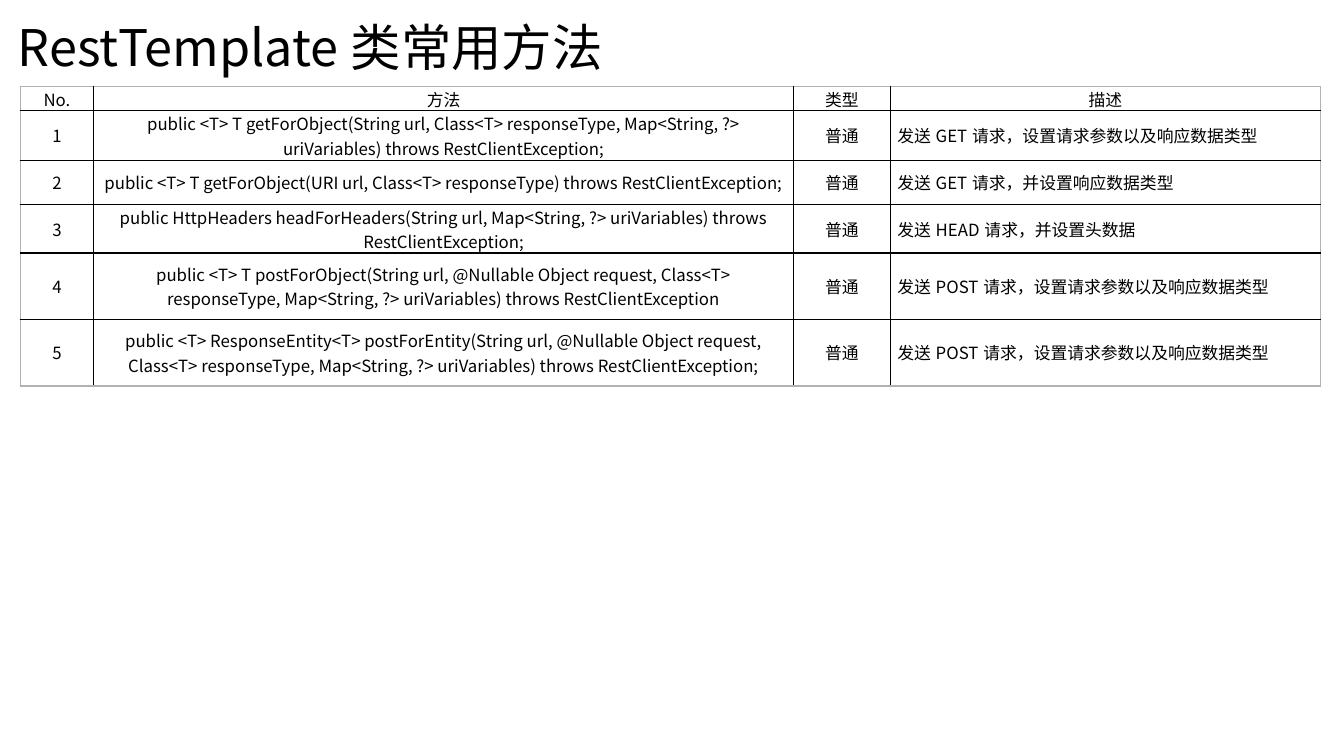
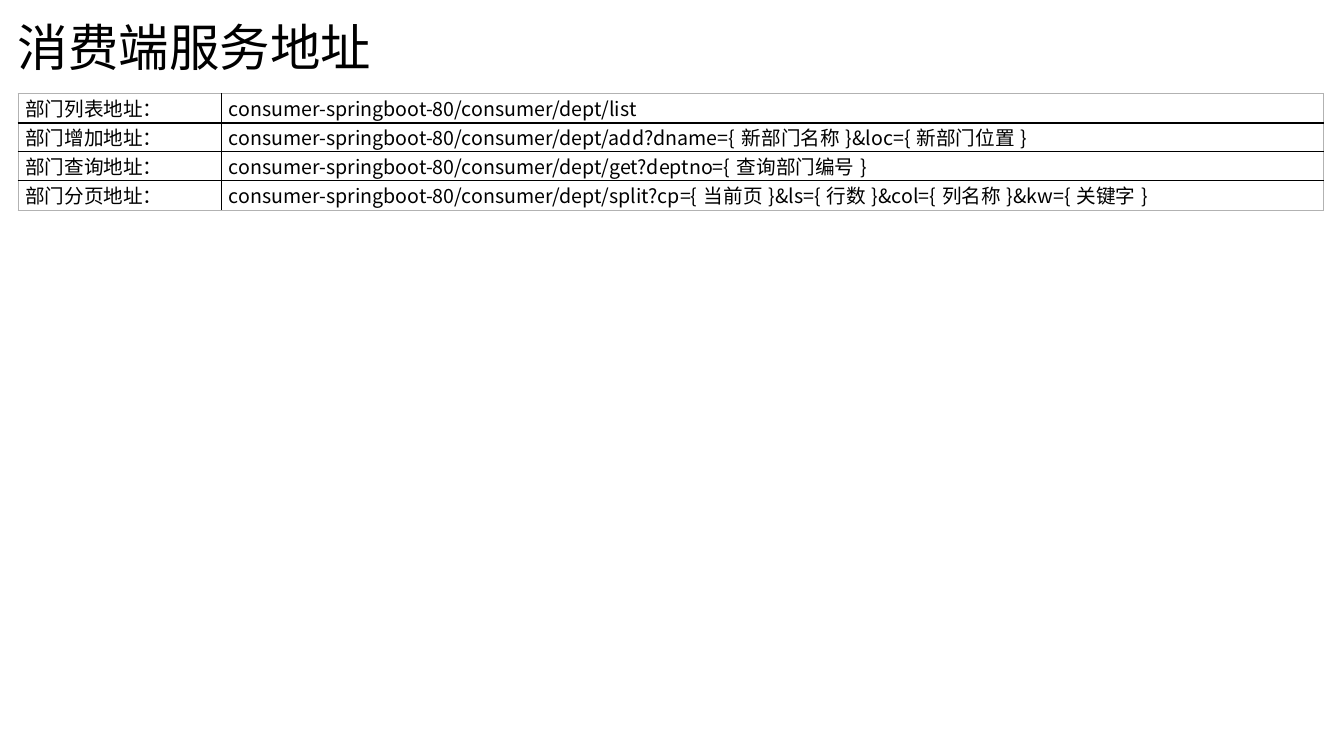
from lxml.etree import SubElement
from pptx import Presentation
from pptx.dml.color import RGBColor
from pptx.enum.text import MSO_ANCHOR, PP_ALIGN
from pptx.oxml.ns import qn
from pptx.util import Inches, Pt

BLACK = RGBColor(0, 0, 0)
GRAY = RGBColor(0xB2, 0xB2, 0xB2)
FONT = "Noto Sans CJK SC"
TITLE_BOX = (0.08, 0.07, 13.15, 0.85)
TITLE_SIZE = 36
BORDER_WIDTH = Pt(1)
CELL_MARGINS = {"margin_left": Inches(0.07), "margin_right": Inches(0.07),
                "margin_top": 0, "margin_bottom": 0}
CENTER, JUSTIFY = PP_ALIGN.CENTER, PP_ALIGN.JUSTIFY

METHODS = [
    ("No.", "方法", "类型", "描述"),
    ("1", "public <T> T getForObject(String url, Class<T> responseType, "
          "Map<String, ?> uriVariables) throws RestClientException;",
     "普通", "发送GET请求，设置请求参数以及响应数据类型"),
    ("2", "public <T> T getForObject(URI url, Class<T> responseType) "
          "throws RestClientException;",
     "普通", "发送GET请求，并设置响应数据类型"),
    ("3", "public HttpHeaders headForHeaders(String url, "
          "Map<String, ?> uriVariables) throws RestClientException;",
     "普通", "发送HEAD请求，并设置头数据"),
    ("4", "public <T> T postForObject(String url, @Nullable Object request, "
          "Class<T> responseType, Map<String, ?> uriVariables) "
          "throws RestClientException",
     "普通", "发送POST请求，设置请求参数以及响应数据类型"),
    ("5", "public <T> ResponseEntity<T> postForEntity(String url, "
          "@Nullable Object request, Class<T> responseType, "
          "Map<String, ?> uriVariables) throws RestClientException;",
     "普通", "发送POST请求，设置请求参数以及响应数据类型"),
]

BASE = "consumer-springboot-80/consumer/dept/"
ADDRESSES = [
    ("部门列表地址：", BASE + "list"),
    ("部门增加地址：", BASE + "add?dname={新部门名称}&loc={新部门位置}"),
    ("部门查询地址：", BASE + "get?deptno={查询部门编号}"),
    ("部门分页地址：", BASE + "split?cp={当前页}&ls={行数}&col={列名称}&kw={关键字}"),
]

SLIDES = [
    {"title": "RestTemplate类常用方法", "rows": METHODS,
     "left": 0.2, "top": 0.86, "size": 12, "anchor": MSO_ANCHOR.MIDDLE,
     "widths": (0.73, 6.94, 0.96, 4.27),
     "heights": (0.24, 0.49, 0.44, 0.48, 0.66, 0.66),
     "header_align": (CENTER,) * 4,
     "body_align": (CENTER, CENTER, CENTER, JUSTIFY)},
    {"title": "消费端服务地址", "rows": ADDRESSES,
     "left": 0.18, "top": 0.93, "size": 14, "anchor": MSO_ANCHOR.TOP,
     "widths": (2.02, 10.93),
     "heights": (0.29, 0.28, 0.29, 0.3),
     "header_align": (JUSTIFY,) * 2,
     "body_align": (JUSTIFY,) * 2},
]


def write(p, text, size):
    r = p.add_run()
    r.text = text
    for name, value in {"name": FONT, "size": Pt(size), "bold": False}.items():
        setattr(r.font, name, value)
    r.font.color.rgb = BLACK
    SubElement(r.font._element, qn("a:ea"), typeface=FONT)


def add_title(s, text):
    tf = s.shapes.add_textbox(*map(Inches, TITLE_BOX)).text_frame
    tf.word_wrap = True
    tf.vertical_anchor = MSO_ANCHOR.MIDDLE
    p = tf.paragraphs[0]
    p.line_spacing = 0.9
    write(p, text, TITLE_SIZE)


def add_borders(cell, outer):
    """Draw all four sides, gray where the side is on the table's outer edge."""
    tcPr = cell._tc.get_or_add_tcPr()
    for side, is_outer in outer.items():
        ln = SubElement(tcPr, qn(f"a:{side}"), w=str(BORDER_WIDTH))
        fill = SubElement(ln, qn("a:solidFill"))
        SubElement(fill, qn("a:srgbClr"), val=str(GRAY if is_outer else BLACK))


def add_grid(s, data):
    rows, widths, heights = data["rows"], data["widths"], data["heights"]
    box = (data["left"], data["top"], sum(widths), sum(heights))
    table = s.shapes.add_table(len(rows), len(widths), *map(Inches, box)).table
    table.first_row = table.horz_banding = False
    for column, width in zip(table.columns, widths):
        column.width = Inches(width)
    for i, (row, texts) in enumerate(zip(table.rows, rows)):
        row.height = Inches(heights[i])
        aligns = data["body_align"] if i else data["header_align"]
        for j, (cell, text, align) in enumerate(zip(row.cells, texts, aligns)):
            for name, value in CELL_MARGINS.items():
                setattr(cell, name, value)
            cell.vertical_anchor = data["anchor"]
            add_borders(cell, {"lnL": j == 0, "lnR": j == len(widths) - 1,
                               "lnT": i == 0, "lnB": i == len(rows) - 1})
            cell.fill.background()
            p = cell.text_frame.paragraphs[0]
            p.alignment = align
            write(p, text, data["size"])


def main():
    prs = Presentation()
    prs.slide_width, prs.slide_height = Inches(13.33), Inches(7.5)
    for data in SLIDES:
        s = prs.slides.add_slide(prs.slide_layouts[6])
        add_title(s, data["title"])
        add_grid(s, data)
    prs.save("out.pptx")


if __name__ == "__main__":
    main()
